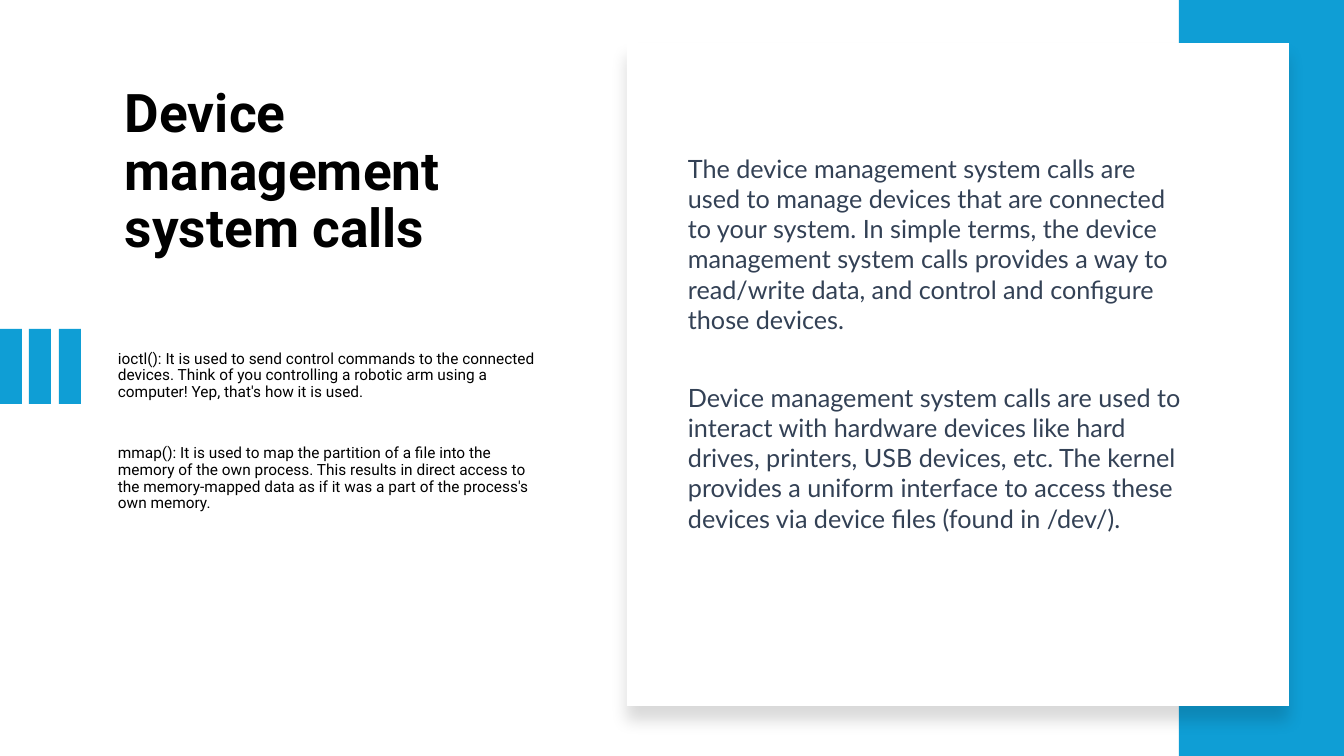
from lxml import etree
from pptx import Presentation
from pptx.dml.color import RGBColor
from pptx.enum.shapes import MSO_SHAPE as Shape
from pptx.enum.text import MSO_ANCHOR as Anchor
from pptx.oxml.ns import qn
from pptx.util import Emu, Pt

EMU_PER_PX = 914400 / 100.8
COLORS = {
    "accent": "0F9ED5",
    "card": "FFFFFF",
    "heading": "000000",
    "prose": "334155",
    "shadow": "000000",
}

TITLE = "Device management system calls"
CALLS = [
    "ioctl(): It is used to send control commands to the connected devices. "
    "Think of you controlling a robotic arm using a computer! Yep, that's how it is used.",
    "mmap(): It is used to map the partition of a file into the memory of the own process. "
    "This results in direct access to the memory-mapped data as if it was a part of "
    "the process's own memory.",
]
OVERVIEW = [
    "The device management system calls are used to manage devices that are connected to "
    "your system. In simple terms, the device management system calls provides a way to "
    "read/write data, and control and configure those devices.",
    "Device management system calls are used to interact with hardware devices like hard "
    "drives, printers, USB devices, etc. The kernel provides a uniform interface to access "
    "these devices via device files (found in /dev/).",
]


def px(*lengths):
    return [Emu(round(n * EMU_PER_PX)) for n in lengths]


def add_block(slide, box, color):
    block = slide.shapes.add_shape(Shape.RECTANGLE, *px(*box))
    block.shadow.inherit = False
    block.fill.solid()
    block.fill.fore_color.rgb = RGBColor.from_string(COLORS[color])
    block.line.fill.background()
    return block


def add_drop_shadow(block, blur, distance, opacity):
    effects = block._element.spPr.find(qn("a:effectLst"))
    drop = etree.SubElement(
        effects, qn("a:outerShdw"), blurRad=str(Pt(blur)), dist=str(Pt(distance)),
        dir="5400000", algn="t", rotWithShape="0")
    tint = etree.SubElement(drop, qn("a:srgbClr"), val=COLORS["shadow"])
    etree.SubElement(tint, qn("a:alpha"), val=str(opacity * 1000))


def add_text(slide, box, paragraphs, font, size, color, bold=False,
             spacing=1.0, gap=0, anchor=Anchor.TOP):
    frame = slide.shapes.add_textbox(*px(*box)).text_frame
    frame.word_wrap = True
    frame.vertical_anchor = anchor
    for i, words in enumerate(paragraphs):
        paragraph = frame.add_paragraph() if i else frame.paragraphs[0]
        paragraph.text = words
        paragraph.line_spacing = spacing
        paragraph.space_before = Pt(gap if i else 0)
        paragraph.font.name = font
        paragraph.font.size = Pt(size)
        paragraph.font.bold = bold
        paragraph.font.color.rgb = RGBColor.from_string(COLORS[color])


def main():
    deck = Presentation()
    deck.slide_width, deck.slide_height = px(1344, 756)
    slide = deck.slides.add_slide(deck.slide_layouts[6])

    # Heading and the list of calls
    add_text(slide, (115, 82, 445, 263), [TITLE], "Roboto", 38, "heading",
             bold=True, spacing=0.9)
    add_text(slide, (108, 329, 445, 188), CALLS, "Roboto", 11, "heading",
             spacing=0.9, gap=32, anchor=Anchor.BOTTOM)

    # Three bars on the left edge
    for i in range(3):
        add_block(slide, (i * 59 // 2, 329, 22, 75), "accent")

    # Right band with the raised card
    add_block(slide, (1179, 0, 165, 756), "accent")
    card = add_block(slide, (627, 43, 662, 663), "card")
    add_drop_shadow(card, blur=11, distance=10, opacity=15)

    # Overview on the card
    add_text(slide, (678, 148, 523, 402), OVERVIEW, "Lato", 18, "prose", gap=34)

    deck.save("out.pptx")


if __name__ == "__main__":
    main()
